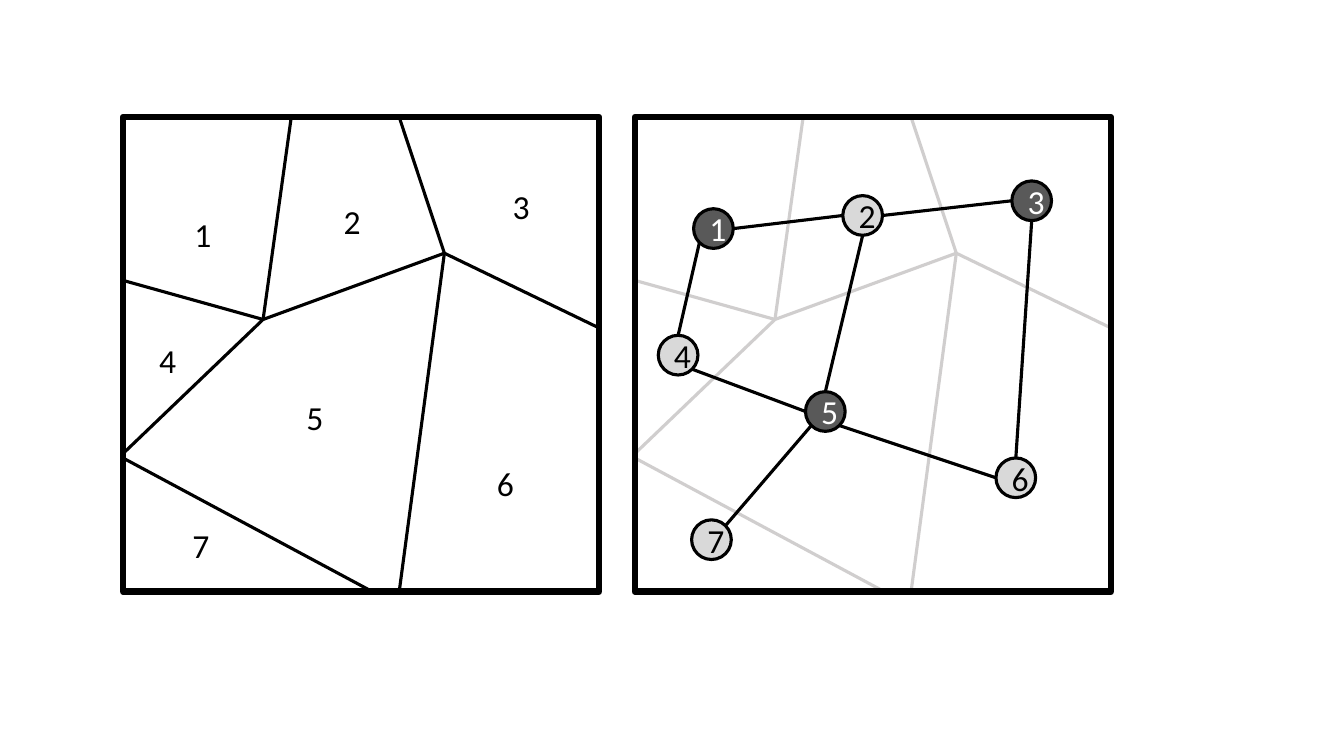
from math import cos, radians, sin

from pptx import Presentation
from pptx.dml.color import RGBColor
from pptx.enum.shapes import MSO_CONNECTOR, MSO_SHAPE
from pptx.enum.text import MSO_ANCHOR, MSO_AUTO_SIZE, PP_ALIGN
from pptx.oxml.ns import qn
from pptx.util import Cm, Pt

BLACK = RGBColor(0x00, 0x00, 0x00)
WHITE = RGBColor(0xFF, 0xFF, 0xFF)
DARK = RGBColor(0x59, 0x59, 0x59)
LIGHT = RGBColor(0xD9, 0xD9, 0xD9)
FADED = RGBColor(0xD0, 0xCE, 0xCE)

# All lengths in cm
FRAME = (3.1, 2.95, 12, 11.96)
WEST, EAST = (6.63, 8.05), (11.2, 6.38)  # points where region borders meet
BORDERS = [
    ((7.34, 2.95), WEST),
    (WEST, (3.08, 7.06)),
    (WEST, (3.1, 11.43)),
    ((3.08, 11.53), (9.37, 14.9)),
    (WEST, EAST),
    (EAST, (10.06, 2.95)),
    (EAST, (15.09, 8.26)),
    (EAST, (10.06, 14.91)),
]
REGIONS = {
    1: (4.65, 5.26), 2: (8.41, 4.93), 3: (12.67, 4.56), 4: (3.76, 8.45),
    5: (7.47, 9.87), 6: (12.27, 11.54), 7: (4.6, 13.1),
}
DARK_REGIONS = {1, 3, 5}

# Where an edge leaves a node, as an angle counterclockwise from the right
RIGHT, TOP_RIGHT, TOP, LEFT = 0, 45, 90, 180
BOTTOM_LEFT, BOTTOM, BOTTOM_RIGHT = 225, 270, 315
EDGES = [
    (1, RIGHT, 2, LEFT), (1, BOTTOM_LEFT, 4, TOP), (2, BOTTOM, 5, TOP),
    (2, RIGHT, 3, LEFT), (3, BOTTOM, 6, TOP), (5, BOTTOM_RIGHT, 6, LEFT),
    (7, TOP_RIGHT, 5, BOTTOM_LEFT), (4, BOTTOM_RIGHT, 5, LEFT),
]

GRAPH_SHIFT, NODE_SHIFT = 12.9, 12.83
NODE_SIZE = 1.0
LABEL_SIZE = (0.58, 1.27)
DIGIT_FORMAT = {"name": "Calibri", "size": Pt(24)}


def add_frame(panel, shift=0):
    """Draw the square outline of a panel."""
    left, top, width, height = FRAME
    frame = panel.add_shape(MSO_SHAPE.RECTANGLE, Cm(left + shift), Cm(top),
                            Cm(width), Cm(height))
    frame.shadow.inherit = False
    frame.fill.background()
    frame.line.color.rgb = BLACK
    frame.line.width = Pt(4.5)


def add_line(panel, start, end, color=BLACK):
    """Draw a straight line without shadow."""
    line = panel.add_connector(MSO_CONNECTOR.STRAIGHT,
                               *(Cm(value) for value in (*start, *end)))
    line.line.color.rgb = color
    line.line.width = Pt(2.25)
    properties = line._element.spPr
    properties.append(properties.makeelement(qn("a:effectLst"), {}))


def add_borders(panel, color, shift=0):
    """Draw all the region borders of a panel."""
    for (x1, y1), (x2, y2) in BORDERS:
        add_line(panel, (x1 + shift, y1), (x2 + shift, y2), color)


def write_digit(frame, number, color, align):
    """Write a region's number into a text frame."""
    frame.word_wrap = True
    paragraph = frame.paragraphs[0]
    paragraph.alignment = align
    digit = paragraph.add_run()
    digit.text = str(number)
    digit.font.color.rgb = color
    for attribute, value in DIGIT_FORMAT.items():
        setattr(digit.font, attribute, value)


def add_label(panel, number):
    """Put a region's number on the map."""
    x, y = REGIONS[number]
    width, height = LABEL_SIZE
    label = panel.add_textbox(Cm(x), Cm(y), Cm(width), Cm(height))
    write_digit(label.text_frame, number, BLACK, PP_ALIGN.LEFT)
    label.text_frame.auto_size = MSO_AUTO_SIZE.SHAPE_TO_FIT_TEXT


def add_node(panel, number):
    """Draw a region as a numbered node of the graph."""
    x, y = REGIONS[number]
    dark = number in DARK_REGIONS
    node = panel.add_shape(MSO_SHAPE.OVAL, Cm(x + NODE_SHIFT), Cm(y),
                           Cm(NODE_SIZE), Cm(NODE_SIZE))
    node.shadow.inherit = False
    node.fill.solid()
    node.fill.fore_color.rgb = DARK if dark else LIGHT
    node.line.color.rgb = BLACK
    node.line.width = Pt(2.25)
    node.text_frame.vertical_anchor = MSO_ANCHOR.MIDDLE
    write_digit(node.text_frame, number, WHITE if dark else BLACK,
                PP_ALIGN.CENTER)


def rim_point(number, angle):
    """Return the point on a node's rim at the given angle."""
    x, y = REGIONS[number]
    radius = NODE_SIZE / 2
    return (x + NODE_SHIFT + radius * (1 + cos(radians(angle))),
            y + radius * (1 - sin(radians(angle))))


presentation = Presentation()
presentation.slide_width = Cm(33.87)
presentation.slide_height = Cm(19.05)
slide = presentation.slides.add_slide(presentation.slide_layouts[6])

region_map = slide.shapes.add_group_shape().shapes
add_frame(region_map)
add_borders(region_map, BLACK)
for region in REGIONS:
    add_label(region_map, region)

graph = slide.shapes.add_group_shape().shapes
add_borders(graph, FADED, GRAPH_SHIFT)
add_frame(graph, GRAPH_SHIFT)
for region in REGIONS:
    add_node(graph, region)
for first, first_angle, second, second_angle in EDGES:
    add_line(graph, rim_point(first, first_angle),
             rim_point(second, second_angle))

presentation.save("out.pptx")
